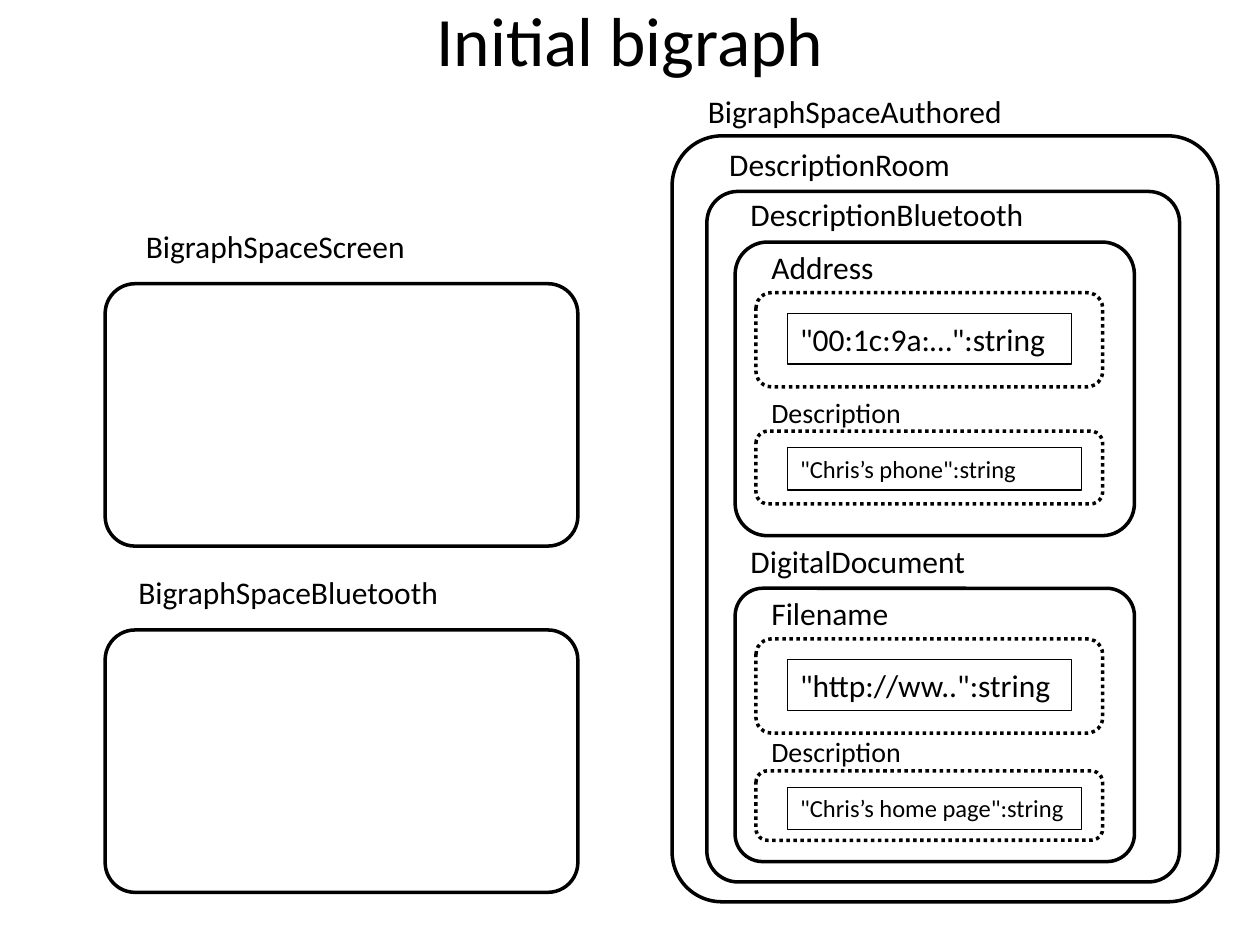
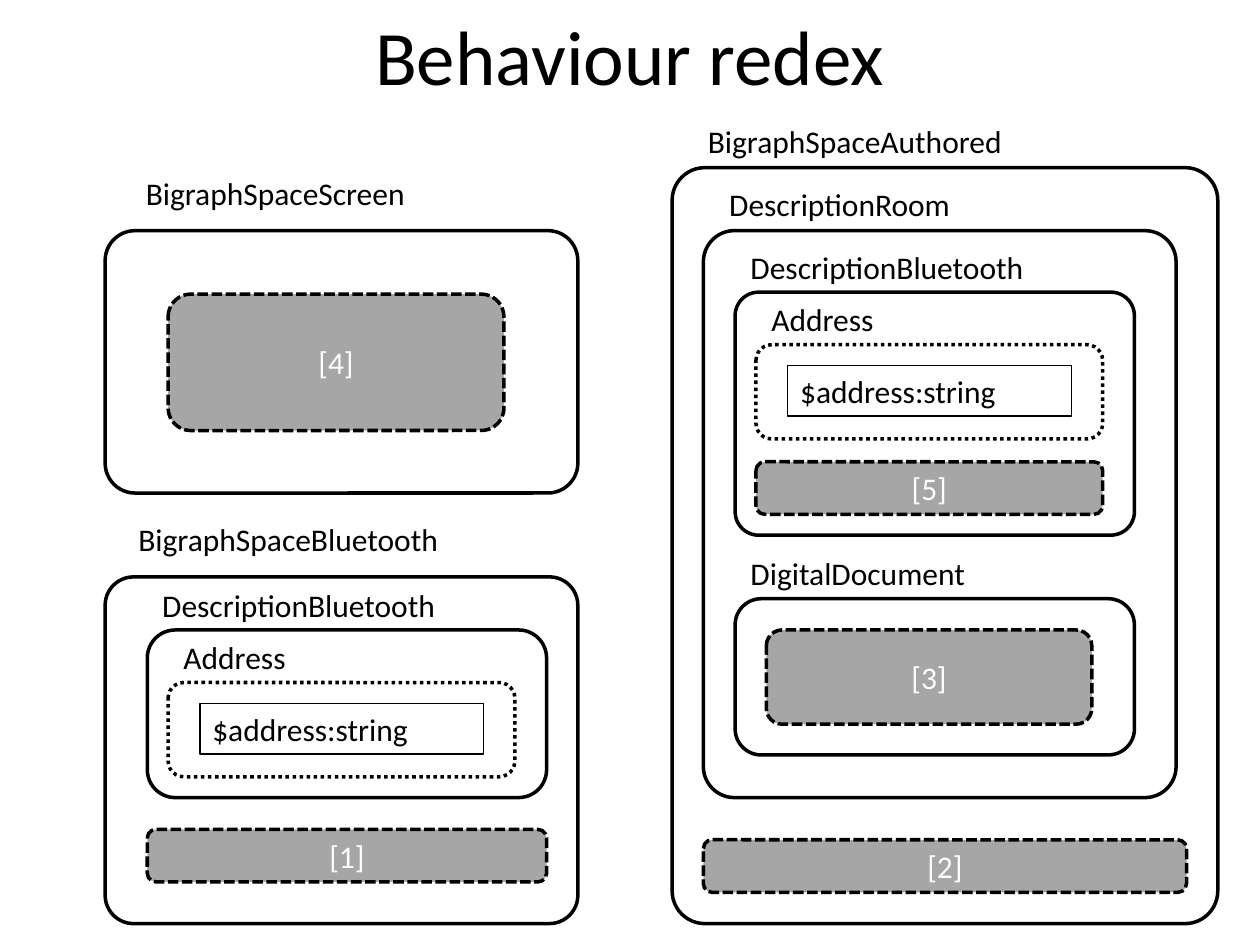
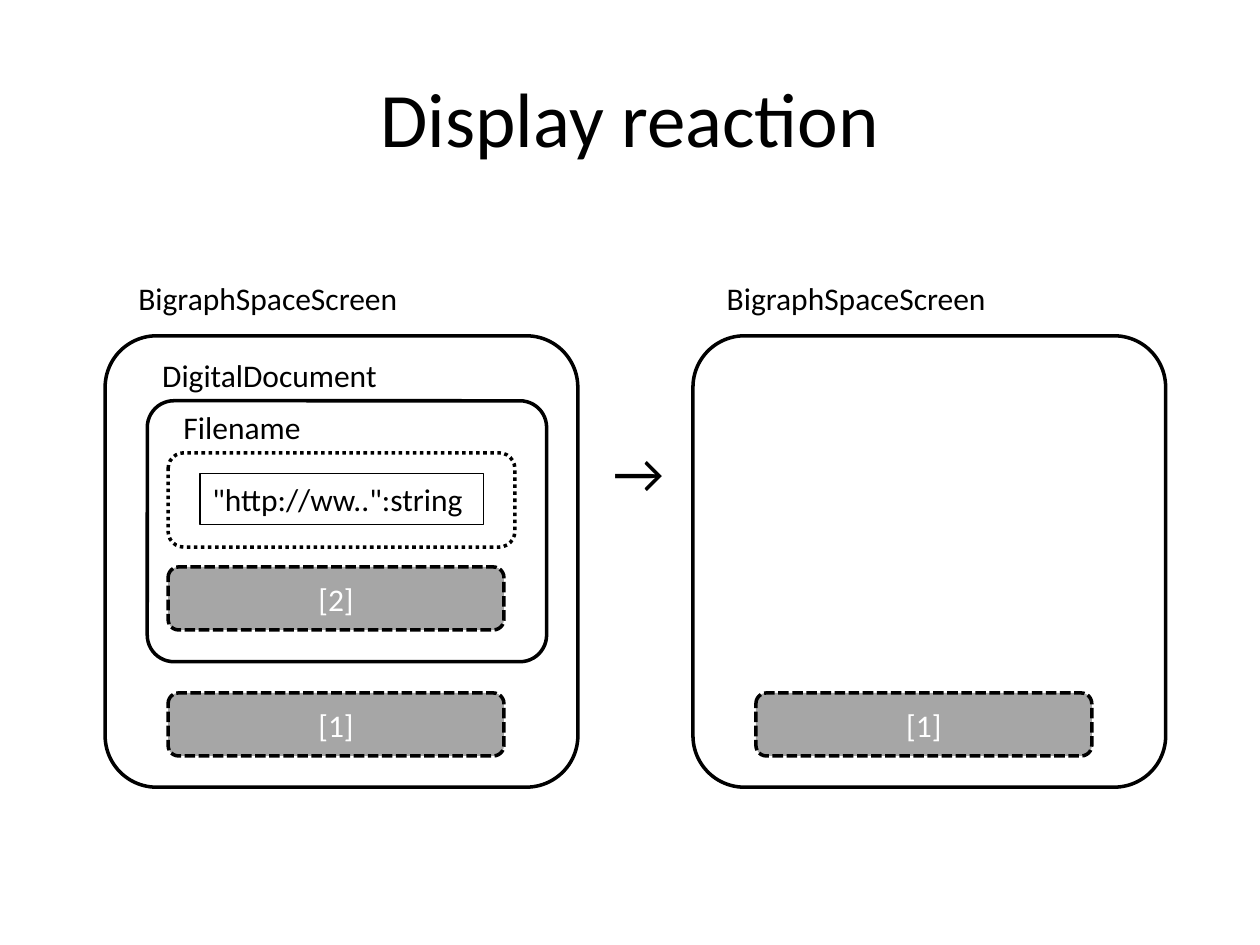
"""Build three slides of nested bigraph diagrams."""
from dataclasses import dataclass

from pptx import Presentation
from pptx.dml.color import RGBColor
from pptx.enum.dml import MSO_LINE
from pptx.enum.shapes import MSO_SHAPE
from pptx.enum.text import MSO_ANCHOR, PP_ALIGN
from pptx.util import Cm, Pt


@dataclass(frozen=True)
class Theme:
    font: str = "Calibri"
    ink: RGBColor = RGBColor(0, 0, 0)
    paper: RGBColor = RGBColor(255, 255, 255)
    site: RGBColor = RGBColor(0xA6, 0xA6, 0xA6)
    title: float = 44
    tight: float = 39.6
    arrow: float = 32
    body: float = 18
    note: float = 16
    small: float = 14
    thick: float = 2
    thin: float = 0.75


theme = Theme()

SCREEN = "BigraphSpaceScreen"
RADIO = "BigraphSpaceBluetooth"
AUTHOR = "BigraphSpaceAuthored"
ROOM = "DescriptionRoom"
PHONE = "DescriptionBluetooth"
PAPER = "DigitalDocument"

widths = {
    SCREEN: 5.79, RADIO: 6.63, AUTHOR: 6.5, ROOM: 5.03, PHONE: 6.07, PAPER: 4.9,
    "Address": 2.59, "Filename": 2.9, "Description": 3.15, "→": 1.63,
}


def write(shape, text, size, color=theme.ink, align=PP_ALIGN.LEFT,
          anchor=MSO_ANCHOR.TOP, wrap=True):
    frame = shape.text_frame
    frame.word_wrap = wrap
    frame.vertical_anchor = anchor
    para = frame.paragraphs[0]
    para.alignment = align
    run = para.add_run()
    run.text = text
    run.font.name = theme.font
    run.font.size = Pt(size)
    run.font.color.rgb = color


def draw(slide, kind, box, fill=None, dash=None, width=theme.thick):
    shape = slide.shapes.add_shape(kind, *map(Cm, box))
    shape.shadow.inherit = False
    if fill is None:
        shape.fill.background()
    else:
        shape.fill.solid()
        shape.fill.fore_color.rgb = fill
    shape.line.color.rgb = theme.ink
    shape.line.width = Pt(width)
    if dash:
        shape.line.dash_style = dash
    return shape


pages = [
    {
        "title": ("Initial bigraph", -0.2, 1.98, theme.tight),
        "rooms": [
            (SCREEN, 2.69, 4.45, (2.12, 5.72, 9.53, 5.29), 0.114),
            (RADIO, 2.54, 11.43, (2.12, 12.7, 9.53, 5.29), 0.114),
            (AUTHOR, 14.02, 1.73, (13.55, 2.74, 11, 15.44), 0.091),
            (ROOM, 14.45, 2.79, (14.25, 3.86, 9.53, 13.92), 0.066),
            (PHONE, 14.88, 3.81, (14.82, 4.88, 8.05, 5.92), 0.11),
            (PAPER, 14.88, 10.8, (14.82, 11.86, 8.05, 5.51), 0.101),
        ],
        "fields": [
            ("Address", '"00:1c:9a:…":string', 15.24, 5.9),
            ("Filename", '"http://ww..":string', 15.24, 12.88),
        ],
        "notes": [
            ("Description", '"Chris’s phone":string', 15.24, 8.69, 1.47),
            ("Description", '"Chris’s home page":string', 15.24, 15.54, 1.4),
        ],
        "sites": [],
        "arrows": [],
    },
    {
        "title": ("Behaviour redex", 0, 2.21, theme.title),
        "rooms": [
            (SCREEN, 2.69, 3.38, (2.12, 4.65, 9.53, 5.29), 0.114),
            (RADIO, 2.54, 10.36, (2.12, 11.63, 9.53, 6.99), 0.082),
            (PHONE, 3.02, 11.68, (2.97, 12.7, 8.05, 3.38), 0.167),
            (AUTHOR, 14.02, 2.34, (13.55, 3.38, 11, 15.24), 0.06),
            (ROOM, 14.45, 3.61, (14.18, 4.65, 9.53, 11.43), 0.066),
            (PHONE, 14.88, 4.88, (14.82, 5.89, 8.05, 4.9), 0.097),
            (PAPER, 14.88, 11.05, (14.82, 12.07, 8.05, 3.15), 0.167),
        ],
        "fields": [
            ("Address", "$address:string", 15.24, 6.95),
            ("Address", "$address:string", 3.39, 13.76),
        ],
        "notes": [],
        "sites": [
            ("[4]", (3.39, 5.93, 6.77, 2.75)),
            ("[3]", (15.45, 12.7, 6.56, 1.9)),
            ("[2]", (14.18, 16.93, 9.74, 1.06)),
            ("[1]", (2.97, 16.72, 8.05, 1.06)),
            ("[5]", (15.24, 9.31, 6.99, 1.06)),
        ],
        "arrows": [],
    },
    {
        "title": ("Display reaction", 0.76, 3.18, theme.title),
        "rooms": [
            (SCREEN, 2.54, 5.51, (2.12, 6.77, 9.53, 9.1), 0.114),
            (SCREEN, 14.4, 5.51, (13.97, 6.77, 9.53, 9.1), 0.114),
            (PAPER, 3.02, 7.06, (2.97, 8.08, 8.05, 5.26), 0.102),
        ],
        "fields": [("Filename", '"http://ww..":string', 3.39, 9.13)],
        "notes": [],
        "sites": [
            ("[1]", (3.39, 13.97, 6.77, 1.27)),
            ("[1]", (15.24, 13.97, 6.77, 1.27)),
            ("[2]", (3.39, 11.43, 6.77, 1.27)),
        ],
        "arrows": [("→", 12.12, 8.69, 1.63, theme.arrow)],
    },
]

deck = Presentation()
deck.slide_width = Cm(25.4)
deck.slide_height = Cm(19.05)

for page in pages:
    slide = deck.slides.add_slide(deck.slide_layouts[6])
    text, top, high, size = page["title"]
    head = slide.shapes.add_textbox(Cm(1.27), Cm(top), Cm(22.86), Cm(high))
    write(head, text, size, align=PP_ALIGN.CENTER, anchor=MSO_ANCHOR.MIDDLE)
    labels = list(page["arrows"])

    for name, left, top, box, bend in page["rooms"]:
        room = draw(slide, MSO_SHAPE.ROUNDED_RECTANGLE, box, theme.paper)
        room.adjustments[0] = bend
        labels.append((name, left, top, 1.02, theme.body))

    cells = []
    for name, value, left, top in page["fields"]:
        cells.append((left, top, 1.9, value, 0.42, 5.72, 1.02, theme.body))
        labels.append((name, left + 0.06, top - 1.03, 1.02, theme.body))
    for name, value, left, top, high in page["notes"]:
        cells.append((left, top, high, value, 0.33, 5.93, 0.86, theme.small))
        labels.append((name, left + 0.06, top - 0.85, 0.94, theme.note))

    for left, top, high, value, drop, wide, tall, size in cells:
        draw(slide, MSO_SHAPE.ROUNDED_RECTANGLE, (left, top, 6.99, high),
             theme.paper, MSO_LINE.ROUND_DOT)
        cell = draw(slide, MSO_SHAPE.RECTANGLE,
                    (left + 0.64, top + drop, wide, tall), width=theme.thin)
        write(cell, value, size)

    for name, box in page["sites"]:
        site = draw(slide, MSO_SHAPE.ROUNDED_RECTANGLE, box, theme.site,
                    MSO_LINE.SQUARE_DOT)
        write(site, name, theme.body, theme.paper, PP_ALIGN.CENTER,
              MSO_ANCHOR.MIDDLE)

    for name, left, top, high, size in labels:
        label = slide.shapes.add_textbox(Cm(left), Cm(top), Cm(widths[name]),
                                         Cm(high))
        write(label, name, size, wrap=False)

deck.save("out.pptx")
